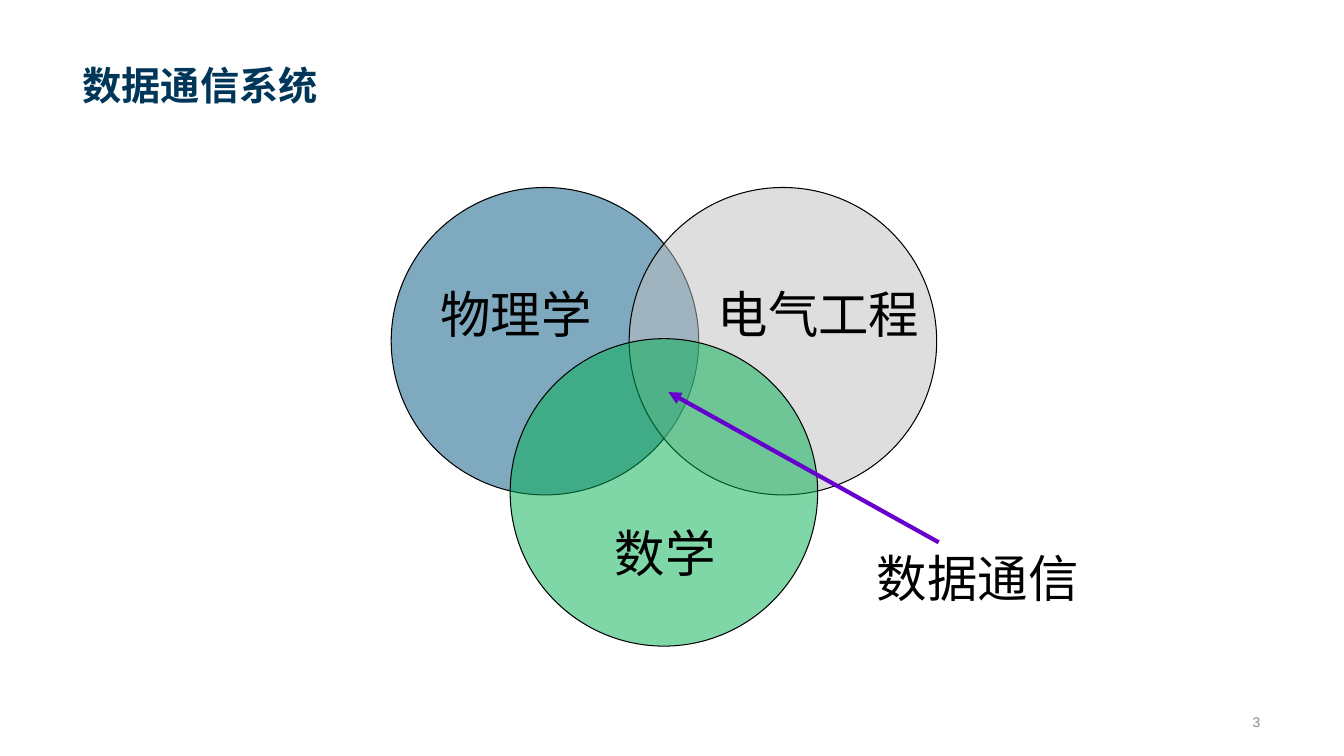
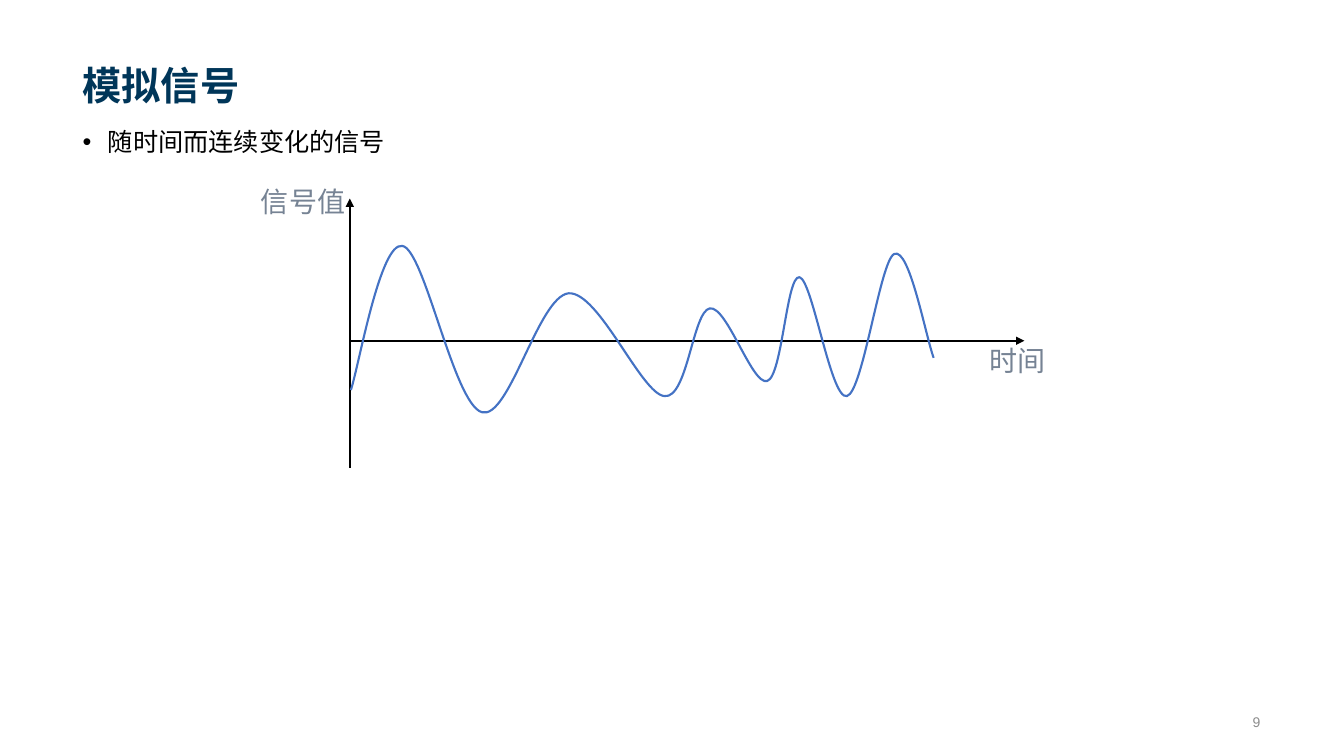
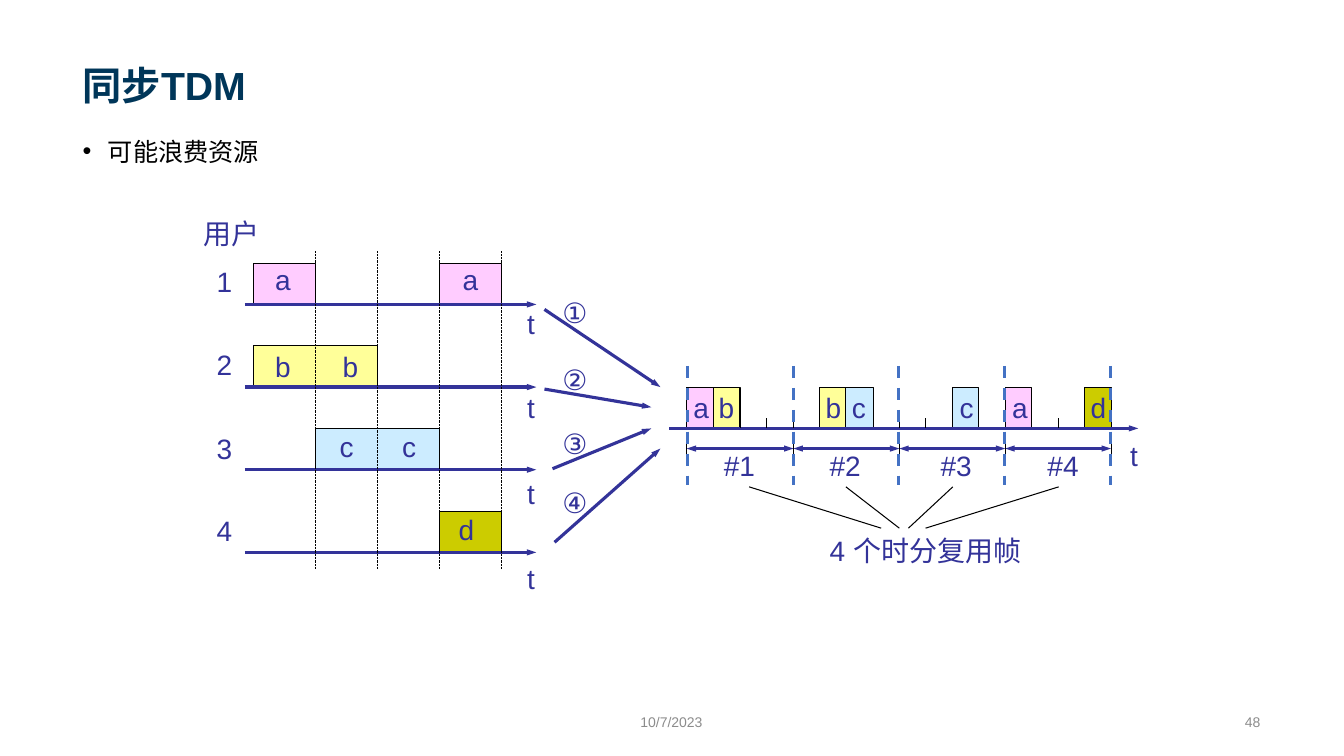
from dataclasses import dataclass

from pptx import Presentation
from pptx import util as u
from pptx.dml.color import RGBColor
from pptx.enum import dml, shapes, text
from pptx.oxml.ns import qn
from lxml import etree

EMU_PER_PX = 9144  # 100 px to the inch


@dataclass(frozen=True)
class Theme:
    font: str = "Arial"
    title: str = "003659"
    ink: str = "000000"
    footer: str = "8C8C8C"
    axis_label: str = "768394"
    signal: str = "4472C4"
    physics: str = "005480"
    engineering: str = "BFBFBF"
    maths: str = "00B050"
    pointer: str = "6600CC"
    tdm: str = "333399"
    pink: str = "FFCCFF"
    yellow: str = "FFFF99"
    blue: str = "CCECFF"
    olive: str = "CCCC00"
    title_size: int = 28
    body_size: int = 18
    footer_size: int = 10
    venn_size: int = 36
    label_size: int = 20
    thin: float = 0.75
    medium: float = 1.5
    thick: float = 2.25


THEME = Theme()
USER_FILLS = {"a": THEME.pink, "b": THEME.yellow, "c": THEME.blue, "d": THEME.olive}


def px(length):
    return u.Emu(round(length * EMU_PER_PX))


def rgb(colour):
    return RGBColor.from_string(colour)


def apply(target, values):
    for name, value in values.items():
        setattr(target, name, value)


def place(shape, left, top, width, height):
    apply(shape, dict(left=px(left), top=px(top), width=px(width), height=px(height)))


def write(paragraph, words, size, colour, bold=False):
    run = paragraph.add_run()
    run.text = words
    apply(run.font, dict(name=THEME.font, size=u.Pt(size), bold=bold))
    run.font.color.rgb = rgb(colour)


def add_label(slide, words, box, size=THEME.label_size, colour=THEME.tdm, align=None, **frame_format):
    label = slide.shapes.add_textbox(*map(px, box))
    defaults = dict(word_wrap=False, auto_size=text.MSO_AUTO_SIZE.SHAPE_TO_FIT_TEXT)
    apply(label.text_frame, defaults | frame_format)
    paragraph = label.text_frame.paragraphs[0]
    paragraph.alignment = align
    write(paragraph, words, size, colour)


def add_footer(slide, words, box, align):
    add_label(slide, words, box, THEME.footer_size, THEME.footer, align, word_wrap=True,
              auto_size=text.MSO_AUTO_SIZE.NONE, vertical_anchor=text.MSO_ANCHOR.MIDDLE)


def add_bullet(slide, words, line_spacing):
    body = slide.placeholders[1]
    place(body, 72, 124, 1188, 547)
    body.text_frame.auto_size = text.MSO_AUTO_SIZE.NONE
    paragraph = body.text_frame.paragraphs[0]
    properties = paragraph._p.get_or_add_pPr()
    properties.set("marL", str(px(25)))
    properties.set("indent", str(px(-25)))
    etree.SubElement(properties, qn("a:buFont"), typeface=THEME.font)
    etree.SubElement(properties, qn("a:buChar"), char="•")
    apply(paragraph, dict(line_spacing=line_spacing, space_before=u.Pt(0)))
    write(paragraph, words, THEME.body_size, THEME.ink)


def add_slide(presentation, title, number, bullet=None, line_spacing=0.9):
    layout = presentation.slide_layouts[1 if bullet else 5]
    slide = presentation.slides.add_slide(layout)
    place(slide.shapes.title, 72, 15, 1188, 98)
    frame = slide.shapes.title.text_frame
    apply(frame, dict(vertical_anchor=text.MSO_ANCHOR.BOTTOM, auto_size=text.MSO_AUTO_SIZE.NONE))
    frame.paragraphs[0].alignment = text.PP_ALIGN.LEFT
    write(frame.paragraphs[0], title, THEME.title_size, THEME.title, bold=True)
    if bullet:
        add_bullet(slide, bullet, line_spacing)
    add_footer(slide, number, (850, 701, 410, 30), text.PP_ALIGN.RIGHT)
    return slide


def add_line(slide, start, end, colour=THEME.ink, width=THEME.thin, dash=None, arrows=(), head_width="med"):
    """Draw a straight line; arrows names the ends to point: headEnd, tailEnd."""
    line = slide.shapes.add_connector(shapes.MSO_CONNECTOR.STRAIGHT, *map(px, start + end))
    line.line.color.rgb = rgb(colour)
    apply(line.line, dict(width=u.Pt(width), dash_style=dash))
    for arrow in arrows:
        etree.SubElement(line.line._get_or_add_ln(), qn(f"a:{arrow}"),
                         type="triangle", w=head_width, len="med")
    etree.SubElement(line._element.spPr, qn("a:effectLst"))


def add_tdm_arrow(slide, start, end, arrows=("tailEnd",)):
    add_line(slide, start, end, THEME.tdm, THEME.thick, arrows=arrows, head_width="sm")


def add_outline(slide, points, fill=None, colour=THEME.ink, width=THEME.thin):
    """Draw an open outline through the points."""
    start, *rest = [(px(x), px(y)) for x, y in points]
    builder = slide.shapes.build_freeform(*start, scale=1.0)
    builder.add_line_segments(rest, close=False)
    outline = builder.convert_to_shape()
    outline.shadow.inherit = False
    if fill:
        outline.fill.solid()
        outline.fill.fore_color.rgb = rgb(fill)
    else:
        outline.fill.background()
    outline.line.color.rgb = rgb(colour)
    outline.line.width = u.Pt(width)
    return outline


def add_curve(slide, points, colour, width):
    """Draw cubic curves: a start, then two control points and an end for each."""
    outline = add_outline(slide, points, colour=colour, width=width)
    segments = list(outline._element.spPr.iter(qn("a:lnTo")))
    for first in range(0, len(segments), 3):
        curve = etree.Element(qn("a:cubicBezTo"))
        segments[first].addprevious(curve)
        for segment in segments[first:first + 3]:
            curve.append(segment[0])
            segment.getparent().remove(segment)


def add_pulse(slide, left, right, base, fill):
    top = base - 41
    add_outline(slide, [(left, base), (left, top), (right, top), (right, base)], fill)


def add_circle(slide, left, top, fill):
    circle = slide.shapes.add_shape(shapes.MSO_SHAPE.OVAL, *map(px, (left, top, 305, 305)))
    circle.shadow.inherit = False
    circle.fill.solid()
    circle.fill.fore_color.rgb = rgb(fill)
    colour = circle._element.spPr.find(qn("a:solidFill"))[0]
    etree.SubElement(colour, qn("a:alpha"), val="50000")
    circle.line.color.rgb = rgb(THEME.ink)
    circle.line.width = u.Pt(THEME.thin)


def build_venn(presentation):
    slide = add_slide(presentation, "数据通信系统", "3")
    for left, top, fill in ((388, 186, THEME.physics), (624, 186, THEME.engineering),
                            (506, 336, THEME.maths)):
        add_circle(slide, left, top, fill)
    for words, left, top, width in (("数学", 600, 513, 120), ("物理学", 427, 276, 170),
                                    ("电气工程", 702, 276, 220), ("数据通信", 860, 538, 220)):
        add_label(slide, words, (left, top, width, 70), THEME.venn_size, THEME.ink)
    add_line(slide, (931, 538), (663, 389), THEME.pointer, 3, arrows=("tailEnd",))


def build_analog_signal(presentation):
    slide = add_slide(presentation, "模拟信号", "9", "随时间而连续变化的信号")
    for start, end in (((347, 338), (1016, 338)), ((347, 464), (347, 197))):
        add_line(slide, start, end, width=THEME.medium, arrows=("tailEnd",))
    for words, box in (("时间", (972, 336, 76, 43)), ("信号值", (249, 178, 105, 43))):
        add_label(slide, words, box, colour=THEME.axis_label)
    wave = (
        (348, 387),
        (356, 363), (377, 240), (399, 244), (421, 247), (450, 401), (478, 409),
        (505, 417), (534, 294), (564, 291), (594, 289), (636, 391), (659, 393),
        (682, 396), (687, 309), (704, 306), (721, 303), (746, 383), (761, 378),
        (776, 373), (780, 273), (793, 275), (806, 278), (824, 397), (840, 393),
        (856, 389), (873, 258), (887, 252), (902, 245), (918, 333), (926, 355),
    )
    add_curve(slide, wave, THEME.signal, THEME.medium)


def add_users(slide):
    def slot_x(slot):
        return 251 + round(61.6 * slot)

    # user, occupied slot ranges, left edges of the letters, their rise above the axis
    users = (("a", ((0, 1), (3, 4)), (263, 449), 46), ("b", ((0, 2),), (263, 330), 42),
             ("c", ((1, 3),), (327, 389), 45), ("d", ((3, 4),), (445,), 44))
    add_label(slide, "用户", (192, 210, 76, 43))
    for index, (user, ranges, letters, rise) in enumerate(users):
        axis = 302 + 82 * index
        for first, last in ranges:
            add_pulse(slide, slot_x(first), slot_x(last), axis, USER_FILLS[user])
        for left in letters:
            add_label(slide, user, (left, axis - rise, 36, 43))
        add_label(slide, str(index + 1), (205, 258 + round(82.4 * index), 36, 43))
        add_label(slide, "t", (513, 299 + round(84.4 * index), 28, 43))
        add_tdm_arrow(slide, (243, axis), (532, axis))
    for slot in range(1, 5):
        add_line(slide, (slot_x(slot), 249), (slot_x(slot), 564), width=0.5,
                 dash=dml.MSO_LINE.ROUND_DOT)


def add_inputs(slide):
    inputs = (("①", 288, (540, 307), (655, 384)), ("②", 355, (540, 386), (646, 404)),
              ("③", 418, (548, 465), (646, 425)), ("④", 477, (550, 538), (655, 445)))
    for words, top, start, end in inputs:
        add_tdm_arrow(slide, start, end)
        add_label(slide, words, (548, top, 48, 43))


def add_frames(slide):
    def slot_x(slot):
        return round(681.45 + 26.31 * slot)

    axis = 425
    # slot, user, left edge of the letter
    pulses = ((0, "a", 678), (1, "b", 703), (5, "b", 809), (6, "c", 835),
              (10, "c", 942), (12, "a", 994), (15, "d", 1072))
    for slot, user, _ in pulses:
        add_pulse(slide, slot_x(slot), slot_x(slot + 1), axis, USER_FILLS[user])
    add_tdm_arrow(slide, (664, axis), (1129, axis))
    for _, user, left in pulses:
        add_label(slide, user, (left, 382, 34 if user == "c" else 36, 43))
    for slot in (2, 3, 4, 8, 9, 14):
        add_line(slide, (slot_x(slot), 415), (slot_x(slot), axis))
    add_label(slide, "t", (1111, 430, 28, 43))

    frames = ((708, 743, 874), (813, 839, 892), (923, 945, 901), (1029, 1050, 918))
    for index, (label_left, upper, lower) in enumerate(frames):
        add_tdm_arrow(slide, (slot_x(4 * index), 445), (slot_x(4 * index + 4), 445),
                      ("headEnd", "tailEnd"))
        add_label(slide, f"#{index + 1}", (label_left, 440, 51, 43))
        add_line(slide, (upper, 483), (lower, 524))
    for edge in range(5):
        add_line(slide, (slot_x(4 * edge), 435), (slot_x(4 * edge), 456))
        border = 682 + round(104.7 * edge)
        add_line(slide, (border, 363), (border, 481), THEME.signal, THEME.thick,
                 dash=dml.MSO_LINE.DASH)
    add_label(slide, "4 个时分复用帧", (813, 524, 210, 43), word_wrap=True)


def build_synchronous_tdm(presentation):
    slide = add_slide(presentation, "同步TDM", "48", "可能浪费资源", line_spacing=1.2)
    add_footer(slide, "10/7/2023", (516, 701, 300, 30), text.PP_ALIGN.CENTER)
    add_users(slide)
    add_inputs(slide)
    add_frames(slide)


def main():
    presentation = Presentation()
    apply(presentation, dict(slide_width=px(1333), slide_height=px(750)))
    build_venn(presentation)
    build_analog_signal(presentation)
    build_synchronous_tdm(presentation)
    presentation.save("out.pptx")


if __name__ == "__main__":
    main()
